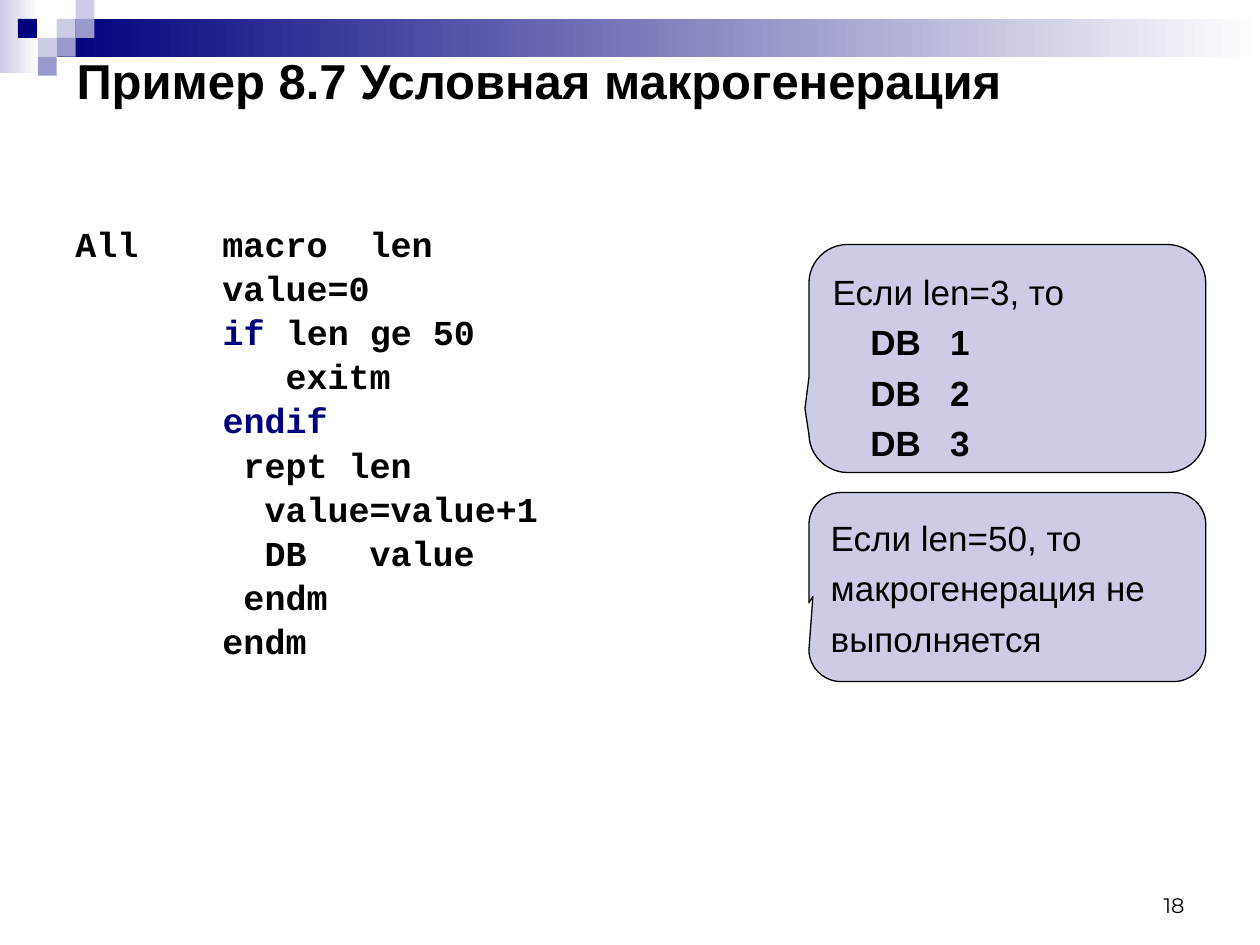
import pptx
import pptx.dml.color
import pptx.enum.shapes
import pptx.enum.text
import pptx.util

Inches = pptx.util.Inches
Pt = pptx.util.Pt
SHAPE = pptx.enum.shapes.MSO_SHAPE
ALIGN = pptx.enum.text.PP_ALIGN
ANCHOR = pptx.enum.text.MSO_ANCHOR

WIDTH, HEIGHT = 10, 7.5
CELL = 0.15
NAVY, LILAC, VIOLET = "00007D", "CCCCE6", "9999CC"
BLACK, WHITE = "000000", "FFFFFF"

# Column and row of each square in the corner ornament
SQUARES = [
    (3, 1, LILAC), (4, 0, LILAC), (4, 1, VIOLET), (2, 2, LILAC),
    (0.95, 1, NAVY), (3, 2, VIOLET), (2, 3, VIOLET),
]
CODE = """\
All    macro  len
       value=0
       if len ge 50
          exitm
       endif
        rept len
         value=value+1
         DB   value
        endm
       endm"""
KEYWORDS = ("if", "endif")


def color(value):
    return pptx.dml.color.RGBColor.from_string(value)


def add_block(page, kind, area, fill):
    block = page.shapes.add_shape(kind, *map(Inches, area))
    block.shadow.inherit = False
    block.fill.solid()
    block.fill.fore_color.rgb = color(fill)
    block.line.fill.background()
    return block


def add_fading_bar(page, area, start):
    bar = add_block(page, SHAPE.RECTANGLE, area, start)
    bar.fill.gradient()
    bar.fill.gradient_angle = 0
    for stop, position, value in zip(bar.fill.gradient_stops, (0, 1), (start, WHITE)):
        stop.position = position
        stop.color.rgb = color(value)


def add_ornament(page):
    add_fading_bar(page, (0, 0, 0.31, 0.58), LILAC)
    add_fading_bar(page, (3 * CELL, CELL, WIDTH - 3 * CELL, 2 * CELL), NAVY)
    for column, row, fill in SQUARES:
        add_block(page, SHAPE.RECTANGLE, (column * CELL, row * CELL, CELL, CELL), fill)


def style(para, size, name="Arial", bold=False):
    font = para.font
    font.size, font.name, font.bold = Pt(size), name, bold
    font.color.rgb = color(BLACK)


def add_text_frame(page, area, anchor=ANCHOR.TOP):
    frame = page.shapes.add_textbox(*map(Inches, area)).text_frame
    frame.word_wrap = True
    frame.vertical_anchor = anchor
    return frame


def add_label(page, area, text, size, anchor, align=ALIGN.LEFT, **font):
    para = add_text_frame(page, area, anchor).paragraphs[0]
    para.text = text
    para.alignment = align
    style(para, size, **font)


def next_paragraph(frame, index):
    return frame.add_paragraph() if index else frame.paragraphs[0]


def add_code(page, area):
    frame = add_text_frame(page, area)
    for index, line in enumerate(CODE.split("\n")):
        para = next_paragraph(frame, index)
        para.line_spacing = 0.8
        if index:
            para.space_before = Pt(6)
        style(para, 20, "Courier New", True)
        word = line.split()[0]
        if word not in KEYWORDS:
            para.add_run().text = line
            continue
        before, after = line.split(word, 1)
        for text in filter(None, (before, word, after)):
            span = para.add_run()
            span.text = text
            if text == word:
                span.font.color.rgb = color(NAVY)


def add_callout(page, area, pointer, heading, commands=()):
    """Rounded callout: a plain heading, then bold indented commands."""
    callout = add_block(page, SHAPE.ROUNDED_RECTANGULAR_CALLOUT, area, LILAC)
    callout.line.color.rgb = color(BLACK)
    callout.line.width = Pt(0.75)
    for index, value in enumerate((*pointer, 0.17)):
        callout.adjustments[index] = value
    frame = callout.text_frame
    frame.word_wrap = True
    frame.vertical_anchor = ANCHOR.TOP
    for index, text in enumerate((heading, *commands)):
        para = next_paragraph(frame, index)
        para.text = text
        para.alignment = ALIGN.LEFT
        para.line_spacing = 1.2
        if index:
            properties = para._p.get_or_add_pPr()
            properties.set("marL", str(Inches(0.3)))
            properties.set("indent", "0")
        style(para, 20, bold=index > 0)


def main():
    deck = pptx.Presentation()
    deck.slide_width, deck.slide_height = Inches(WIDTH), Inches(HEIGHT)
    page = deck.slides.add_slide(deck.slide_layouts[6])
    add_ornament(page)
    add_label(page, (7.17, 6.83, 2.33, 0.5), "18", 12, ANCHOR.BOTTOM,
              ALIGN.RIGHT, name="Montserrat")
    add_label(page, (0.51, 0.44, 9, 0.39), "Пример 8.7 Условная макрогенерация",
              28, ANCHOR.MIDDLE, bold=True)
    add_code(page, (0.5, 1.78, 5.8, 5.43))
    add_callout(page, (6.42, 1.94, 3.15, 1.81), (-0.51, 0.22), "Если len=3, то",
                [f"DB   {number}" for number in (1, 2, 3)])
    add_callout(page, (6.42, 3.91, 3.15, 1.5), (-0.49, 0.05),
                "Если len=50, то макрогенерация не выполняется")
    deck.save("out.pptx")


if __name__ == "__main__":
    main()
